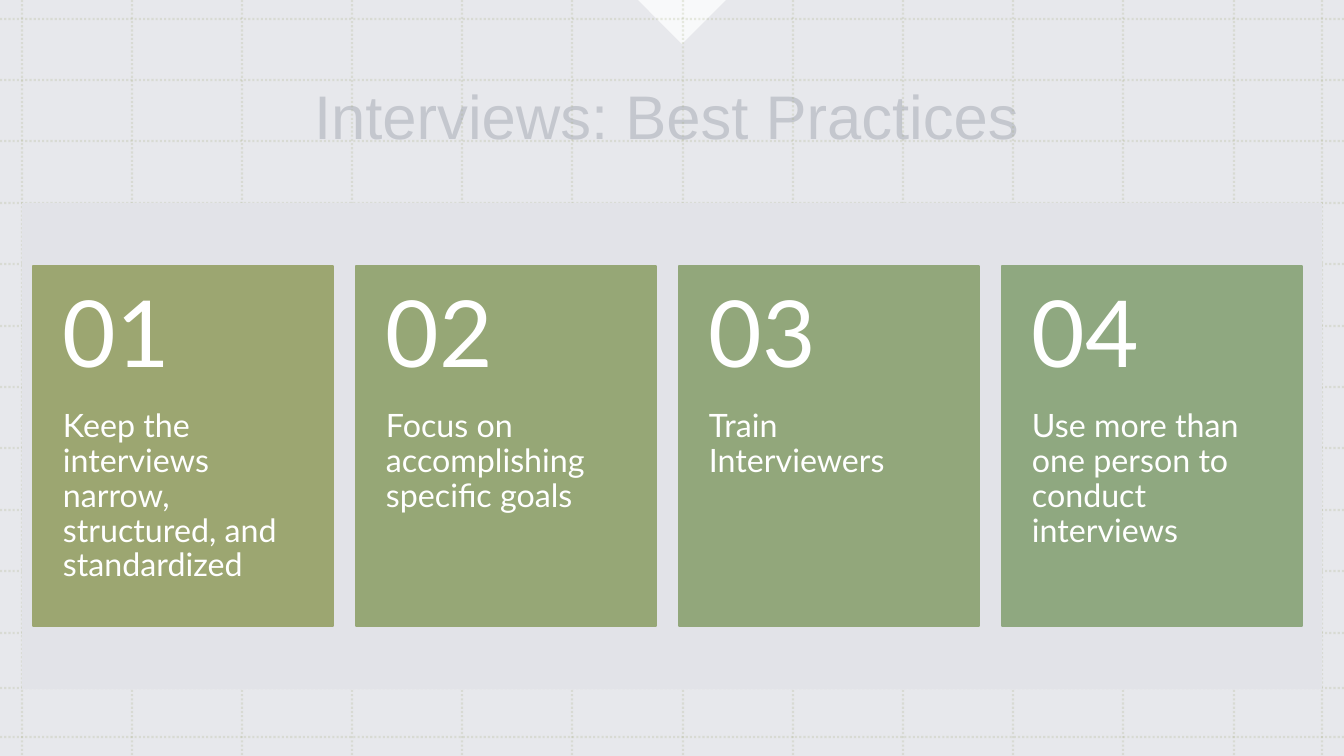
from lxml.etree import SubElement
from pptx import Presentation
from pptx.dml.color import RGBColor
from pptx.enum.dml import MSO_LINE
from pptx.enum.shapes import MSO_CONNECTOR, MSO_SHAPE
from pptx.enum.text import MSO_ANCHOR, PP_ALIGN
from pptx.oxml.ns import qn
from pptx.util import Emu, Pt

WIDTH, HEIGHT = 1344, 756
PRACTICES = [
    ("Keep the interviews narrow, structured, and standardized", "9CA671"),
    ("Focus on accomplishing specific goals", "96A776"),
    ("Train Interviewers", "92A77B"),
    ("Use more than one person to conduct interviews", "8FA880"),
]


def px(length):
    return Emu(round(length * 914400 / 100.8))


def color(hex_code):
    return RGBColor.from_string(hex_code)


def set_opacity(element, percent):
    """Apply an opacity to every colour inside the element."""
    for tint in element.iter(qn("a:srgbClr")):
        SubElement(tint, qn("a:alpha"), val=str(percent * 1000))


def add_block(slide, kind, box, fill, opacity=100, outline=None):
    block = slide.shapes.add_shape(kind, *map(px, box))
    block.shadow.inherit = False
    block.fill.solid()
    block.fill.fore_color.rgb = color(fill)
    if outline:
        block.line.color.rgb = color(outline)
        block.line.width = Pt(1)
    else:
        block.line.fill.background()
    if opacity < 100:
        set_opacity(block._element, opacity)


def format_text(frame, size, font, hex_code, anchor, align):
    frame.word_wrap = True
    frame.vertical_anchor = anchor
    paragraph = frame.paragraphs[0]
    paragraph.alignment = align
    paragraph.line_spacing = 0.9
    run = paragraph.runs[0]
    run.font.size = Pt(size)
    run.font.name = font
    run.font.color.rgb = color(hex_code)
    return run


def add_grid_line(slide, start, end):
    rule = slide.shapes.add_connector(MSO_CONNECTOR.STRAIGHT, *map(px, start + end))
    rule.line.color.rgb = color("9CA671")
    rule.line.width = Pt(1.5)
    rule.line.dash_style = MSO_LINE.ROUND_DOT
    set_opacity(rule._element, 20)
    SubElement(rule._element.spPr, qn("a:effectLst"))


def add_backdrop(slide, width, height):
    slide.background.fill.solid()
    slide.background.fill.fore_color.rgb = color("FFFFFF")
    add_block(slide, MSO_SHAPE.RECTANGLE, (0, 0, width, height), "E2E3E8", 80)
    add_block(slide, MSO_SHAPE.FLOWCHART_MERGE, (638, 0, 88, 44), "FFFFFF", 75)
    for x in [22 + 1212 * i // 11 for i in range(12)] + [1322]:
        add_grid_line(slide, (x, 0), (x, height))
    for y in [19 + 614 * i // 10 for i in range(11)] + [688, 737]:
        add_grid_line(slide, (0, y), (width, y))


def add_title(slide, box):
    title = slide.shapes.title
    title.left, title.top, title.width, title.height = map(px, box)
    title.text_frame.text = "Interviews: Best Practices"
    run = format_text(title.text_frame, 44, "Arial", "243141",
                      MSO_ANCHOR.MIDDLE, PP_ALIGN.CENTER)
    set_opacity(run._r, 80)


def add_card_text(slide, box, text, size, anchor, inset_top, inset_bottom):
    text_box = slide.shapes.add_textbox(*map(px, box))
    frame = text_box.text_frame
    frame.text = text
    frame.margin_left = frame.margin_right = px(30)
    frame.margin_top, frame.margin_bottom = px(inset_top), px(inset_bottom)
    format_text(frame, size, "Lato", "FFFFFF", anchor, PP_ALIGN.LEFT)


def add_card(slide, box, number, practice, fill):
    left, top, width, height = box
    head = height * 2 // 5
    add_block(slide, MSO_SHAPE.RECTANGLE, box, fill, outline=fill)
    add_card_text(slide, (left, top + head, width, height - head), practice,
                  23, MSO_ANCHOR.TOP, 0, 36)
    add_card_text(slide, (left, top, width, head), f"{number:02}",
                  66, MSO_ANCHOR.MIDDLE, 18, 18)


def add_practices(slide, box):
    left, top, width, height = box
    add_block(slide, MSO_SHAPE.RECTANGLE, box, "E2E3E8")
    for index, (practice, fill) in enumerate(PRACTICES):
        card_box = (left + 11 + 323 * index, top + 63, 300, height - 126)
        add_card(slide, card_box, index + 1, practice, fill)


def main():
    deck = Presentation()
    deck.slide_width, deck.slide_height = px(WIDTH), px(HEIGHT)
    slide = deck.slides.add_slide(deck.slide_layouts[5])
    add_backdrop(slide, WIDTH, HEIGHT)
    add_practices(slide, (22, 203, 1300, 486))
    add_title(slide, (33, 37, 1268, 165))
    deck.save("out.pptx")


if __name__ == "__main__":
    main()
